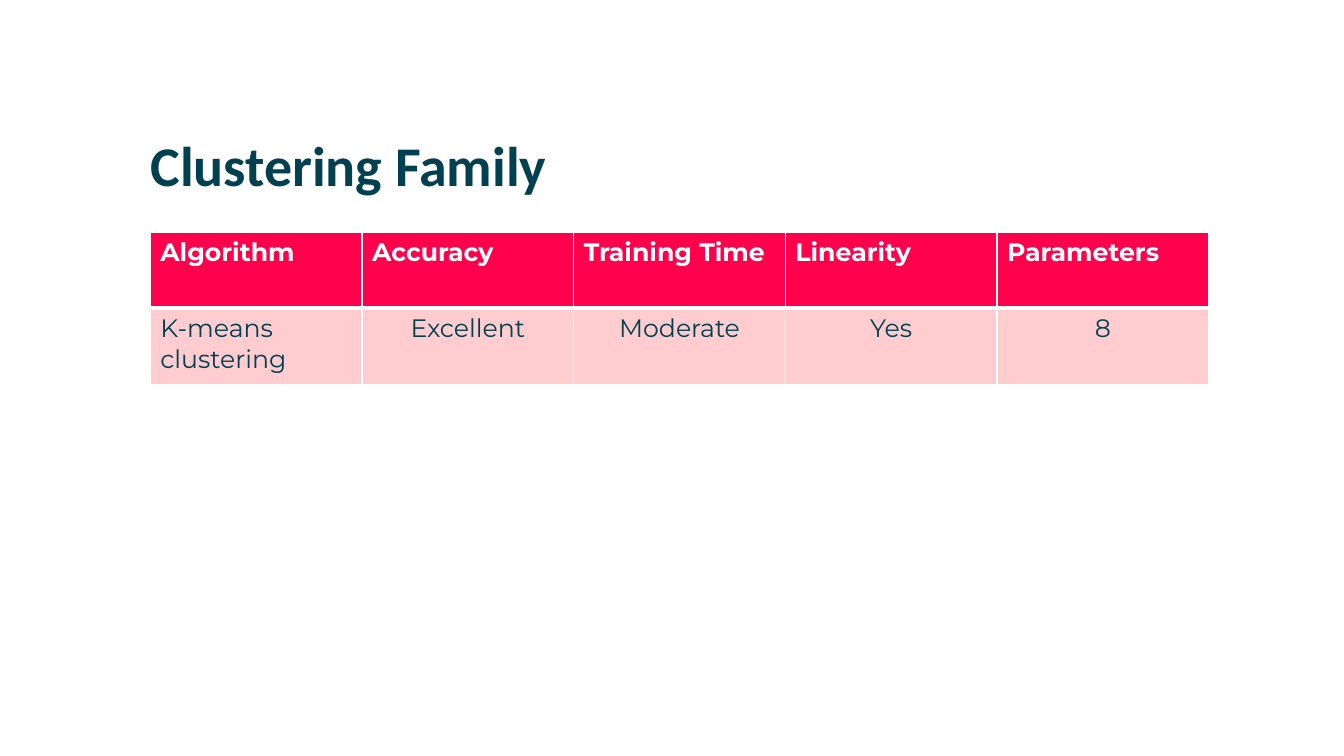
import lxml.etree
import pptx
import pptx.dml.color
import pptx.enum.text
import pptx.oxml.ns
import pptx.util

Cm = pptx.util.Cm
Pt = pptx.util.Pt
ALIGN = pptx.enum.text.PP_ALIGN

WHITE, TEAL, RED, PINK = "FFFFFF", "004050", "FF004C", "FFCCD0"
ALGORITHMS = [
    ["Algorithm", "Accuracy", "Training Time", "Linearity", "Parameters"],
    ["K-means clustering", "Excellent", "Moderate", "Yes", "8"],
]


def color(value):
    """Turn a hex string into a colour."""
    return pptx.dml.color.RGBColor.from_string(value)


def add_run(paragraph, text, font_name, size, ink, bold):
    """Add one formatted run to a paragraph."""
    run = paragraph.add_run()
    run.text = text
    run.font.name = font_name
    run.font.size = Pt(size)
    run.font.bold = bold
    run.font.color.rgb = color(ink)


def set_borders(cell, widths):
    """Give a cell white borders, with widths in points by side."""
    qn = pptx.oxml.ns.qn
    properties = cell._tc.get_or_add_tcPr()
    for position, side in enumerate("LRTB"):
        line = lxml.etree.Element(qn(f"a:ln{side}"), w=str(Pt(widths[side])))
        fill = lxml.etree.SubElement(line, qn("a:solidFill"))
        lxml.etree.SubElement(fill, qn("a:srgbClr"), val=WHITE)
        properties.insert(position, line)


def place_heading(slide, text, left, top, width, height):
    """Place the slide title in the given box."""
    heading = slide.shapes.title
    heading.left, heading.top, heading.width, heading.height = left, top, width, height
    frame = heading.text_frame
    frame.margin_left = frame.margin_right = frame.margin_top = frame.margin_bottom = 0
    frame.vertical_anchor = pptx.enum.text.MSO_ANCHOR.TOP
    frame.auto_size = pptx.enum.text.MSO_AUTO_SIZE.NONE
    frame.word_wrap = True
    paragraph = frame.paragraphs[0]
    paragraph.alignment = ALIGN.LEFT
    paragraph.line_spacing = 0.9
    add_run(paragraph, text, "Calibri", 40, TEAL, True)


def place_comparison(slide, rows, left, top, width, height):
    """Place the algorithm comparison table in the given box."""
    comparison = slide.shapes.add_table(
        len(rows), len(rows[0]), left, top, width, height
    ).table
    for row_index, row in enumerate(rows):
        header = row_index == 0
        for column_index, text in enumerate(row):
            cell = comparison.cell(row_index, column_index)
            cell.fill.solid()
            cell.fill.fore_color.rgb = color(RED if header else PINK)
            set_borders(cell, {
                "L": 1, "R": 1,
                "T": 3 if row_index == 1 else 1,
                "B": 3 if header else 1,
            })
            paragraph = cell.text_frame.paragraphs[0]
            centred = not header and column_index > 0
            paragraph.alignment = ALIGN.CENTER if centred else ALIGN.LEFT
            add_run(paragraph, text, "Montserrat", 18, WHITE if header else TEAL, header)


def main():
    """Build and save the slide."""
    presentation = pptx.Presentation()
    presentation.slide_width = Cm(33.87)
    presentation.slide_height = Cm(19.05)
    slide = presentation.slides.add_slide(presentation.slide_layouts.get_by_name("Title Only"))
    left = Cm(3.79)
    place_heading(slide, "Clustering Family", left, Cm(3.47), Cm(26.34), Cm(1.45))
    place_comparison(slide, ALGORITHMS, left, Cm(5.85), Cm(26.67), Cm(3.84))
    presentation.save("out.pptx")


if __name__ == "__main__":
    main()
